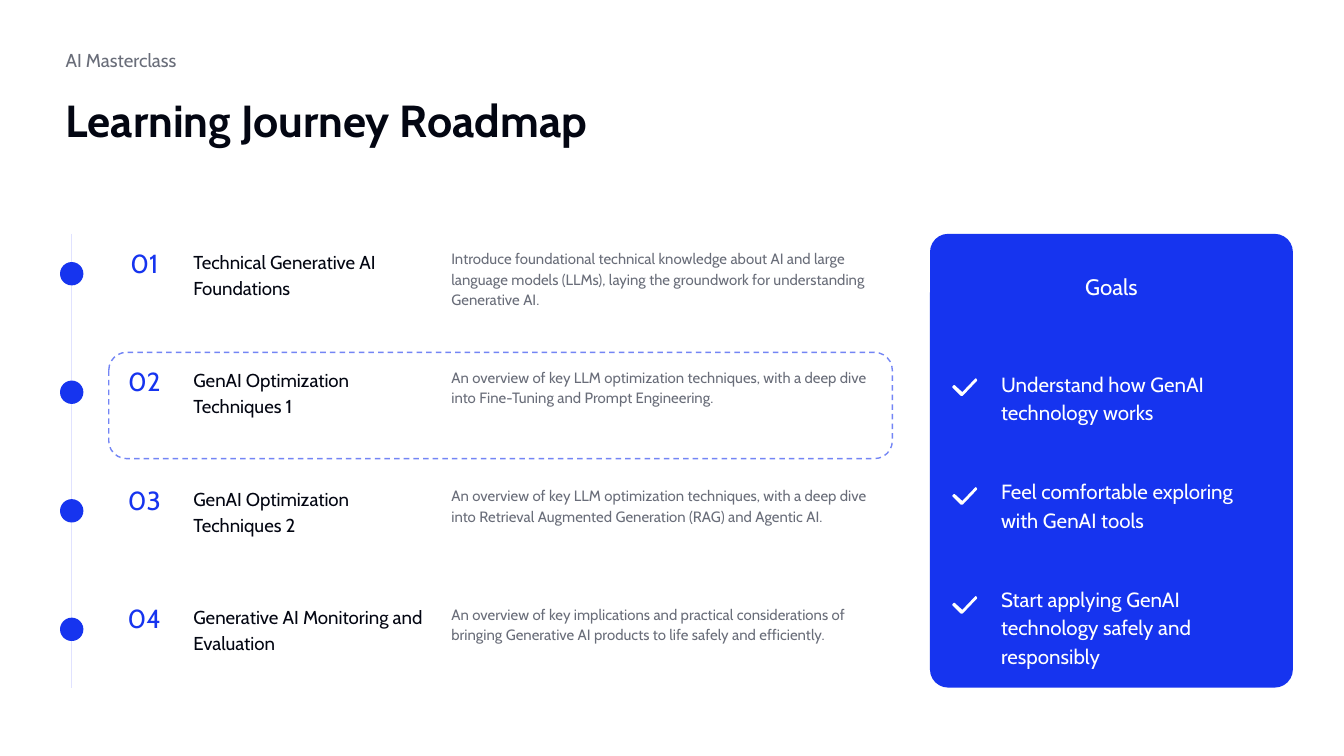
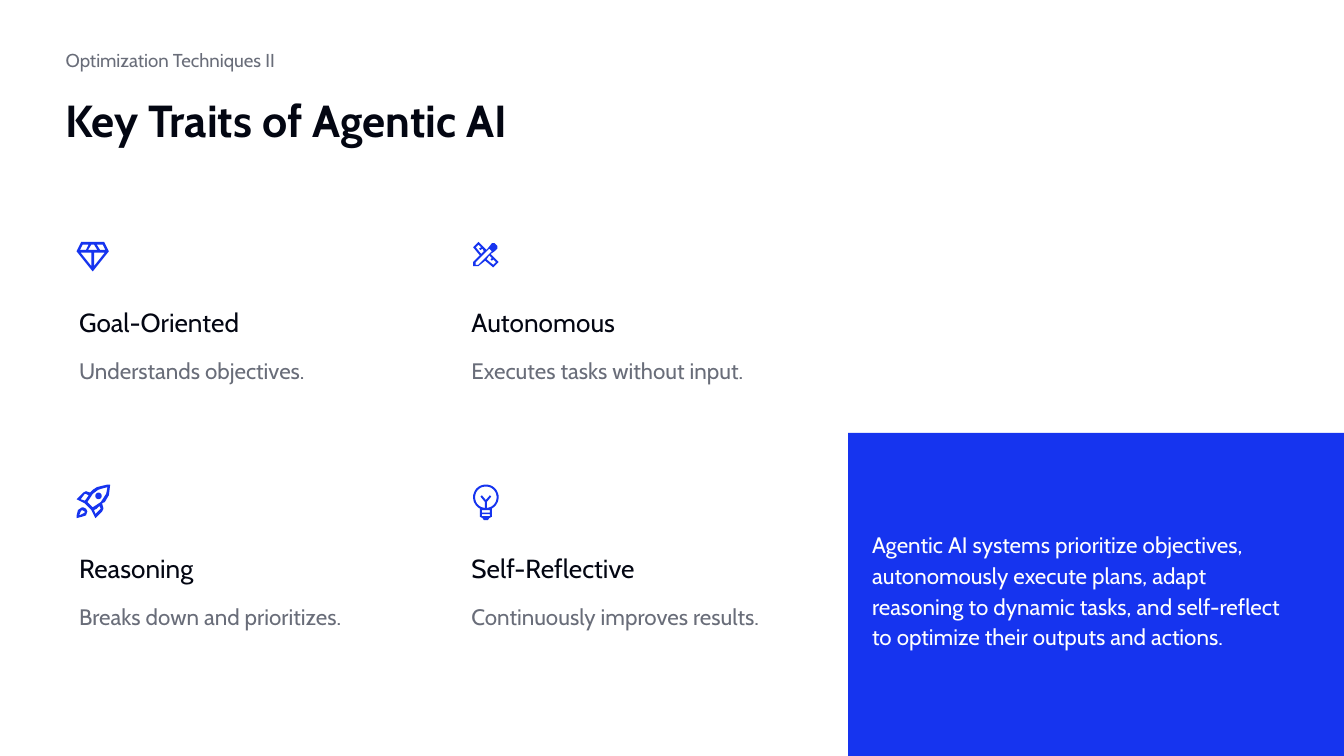
"""Build two training slides: a learning roadmap and the traits of agentic AI."""
from dataclasses import dataclass
from math import cos, radians, sin

from lxml.etree import SubElement
from pptx import Presentation
from pptx.dml.color import RGBColor
from pptx.enum.dml import MSO_LINE
from pptx.enum.shapes import MSO_CONNECTOR, MSO_SHAPE
from pptx.enum.text import MSO_ANCHOR, PP_ALIGN
from pptx.oxml.ns import qn
from pptx.util import Inches, Pt


@dataclass(frozen=True)
class Theme:
    font: str = "Cabin"
    ink: RGBColor = RGBColor(0x03, 0x06, 0x12)
    muted: RGBColor = RGBColor(0x69, 0x6D, 0x79)
    blue: RGBColor = RGBColor(0x16, 0x34, 0xEF)
    dashes: RGBColor = RGBColor(0x73, 0x85, 0xF5)
    rail: RGBColor = RGBColor(0xE0, 0xE2, 0xFF)
    white: RGBColor = RGBColor(0xFF, 0xFF, 0xFF)
    title: int = 24
    heading: int = 14
    body: int = 12
    goal: int = 11
    label: int = 10
    detail: int = 8
    hairline: float = 0.75


THEME = Theme()
COLUMNS, ROWS = 100, 56.25
CELL = Inches(0.1)
MARGIN, CONTENT_TOP = 3.9, 17.4


def write(slide, words, box, size, color, bold=False, spacing=1.15,
          align=PP_ALIGN.LEFT, anchor=MSO_ANCHOR.TOP, inset_top=1):
    frame = slide.shapes.add_textbox(*(int(n * CELL) for n in box)).text_frame
    frame.word_wrap = True
    frame.vertical_anchor = anchor
    frame.margin_left = frame.margin_right = frame.margin_bottom = CELL
    frame.margin_top = inset_top * CELL
    paragraph = frame.paragraphs[0]
    paragraph.text = words
    paragraph.alignment = align
    paragraph.line_spacing = spacing
    paragraph.font.name = THEME.font
    paragraph.font.size = Pt(size)
    paragraph.font.bold = bold
    paragraph.font.color.rgb = color


def paint(slide, outline, box, fill=None, line=None):
    place = [int(n * CELL) for n in box]
    if isinstance(outline, list):
        contours = [[(x * 10, y * 10) for x, y in contour] for contour in outline]
        builder = slide.shapes.build_freeform(*contours[0][0], scale=CELL / 100)
        for contour in contours:
            if contour is not contours[0]:
                builder.move_to(*contour[0])
            builder.add_line_segments(contour[1:], close=True)
        shape = builder.convert_to_shape(*place)
    else:
        shape = slide.shapes.add_shape(outline, *place)
    shape.shadow.inherit = False
    if fill is None:
        shape.fill.background()
    else:
        shape.fill.solid()
        shape.fill.fore_color.rgb = fill
    if line is None:
        shape.line.fill.background()
    else:
        shape.line.color.rgb = line
        shape.line.width = Pt(THEME.hairline)
    return shape


CHECK = [[(17.5, 1), (17, 0), (7, 10.5), (1, 5), (0, 6), (6, 12), (7, 12)]]
GEM = [
    [(3.5, 0), (0, 7), (12, 22), (24, 7), (20.5, 0)],
    [(9, 2), (7, 6), (2.5, 6), (4.5, 2)],
    [(11, 2), (13, 2), (15.5, 6), (8.5, 6)],
    [(19.5, 2), (21.5, 6), (17.5, 6), (15, 2)],
    [(11, 8), (11, 18), (3, 8)],
    [(21, 8), (13, 18), (13, 8)],
]
TOOLS = [
    [(4, 0), (0, 4), (5, 10), (0, 15), (0, 18), (4, 18), (9, 14), (15, 19),
     (19, 15), (13, 9), (16, 7), (18, 5), (18, 3), (16, 1), (14, 1), (10, 6)],
    [(4, 2), (6, 4), (4.5, 5), (5.5, 6), (7, 5), (8, 7), (6, 9), (2, 4)],
    [(12, 5), (14, 7), (4, 17), (2, 17), (2, 15)],
    [(12, 10), (14, 12), (13, 13), (14, 14), (15, 13), (17, 15), (15, 17), (10, 13)],
]
ROCKET = [
    [(23, 0), (19, 1), (15, 2), (12, 4), (10, 6), (7, 5), (5, 6), (0, 11), (6, 14),
     (11, 19), (14, 25), (19, 20), (20, 18), (19, 14), (21, 13), (24, 8), (25, 0)],
    [(23, 2), (22, 7), (18, 13), (15, 15), (12, 17), (8, 13), (10, 10), (12, 7),
     (16, 4), (19, 3)],
    [(16.3 + 2.4 * cos(radians(a)), 8.5 + 2.4 * sin(radians(a)))
     for a in range(0, 360, 20)],
    [(7, 7), (9, 8), (7, 11), (6, 12), (3, 11), (6, 7)],
    [(17, 16), (18, 18), (17, 19), (14, 22), (13, 19), (15, 18)],
    [(4, 17), (1, 19), (0, 23), (0, 25), (4, 24), (7, 23), (8, 20), (7, 18), (5, 17)],
    [(4, 19), (6, 20), (6, 21), (4, 22), (2, 23), (3, 20)],
]
BULB = [
    [(9.5 + 9.5 * cos(radians(a)), 9.5 + 9.5 * sin(radians(a)))
     for a in range(118, 423, 8)]
    + [(14, 24), (12, 25), (11, 26.5), (8, 26.5), (7, 25), (5, 24)],
    [(9.5 + 8 * cos(radians(a)), 9.5 + 8 * sin(radians(a)))
     for a in range(95, 446, 10)]
    + [(10.2, 13), (13.5, 9), (12.5, 8), (9.5, 11.5), (6.5, 8), (5.5, 9), (8.8, 13)],
    [(6.5, 19), (12.5, 19), (12.5, 21), (6.5, 21)],
    [(6.5, 22), (12.5, 22), (12.5, 23.5), (6.5, 23.5)],
]

deck = Presentation()
deck.slide_width, deck.slide_height = COLUMNS * CELL, int(ROWS * CELL)
headings = [
    ("AI Masterclass", "Learning Journey Roadmap"),
    ("Optimization Techniques II", "Key Traits of Agentic AI"),
]
for section, title in headings:
    slide = deck.slides.add_slide(deck.slide_layouts[6])
    write(slide, section, (MARGIN, 3.1, 23.6, 2.8), THEME.label, THEME.muted,
          spacing=1, anchor=MSO_ANCHOR.MIDDLE)
    write(slide, title, (MARGIN, 5.9, 92.3, 9), THEME.title, THEME.ink,
          bold=True, spacing=1)
roadmap, traits_slide = deck.slides

MODULES = [
    ("Technical Generative AI Foundations",
     "Introduce foundational technical knowledge about AI and large language models "
     "(LLMs), laying the groundwork for understanding Generative AI."),
    ("GenAI Optimization Techniques 1",
     "An overview of key LLM optimization techniques, with a deep dive into "
     "Fine-Tuning and Prompt Engineering."),
    ("GenAI Optimization Techniques 2",
     "An overview of key LLM optimization techniques, with a deep dive into "
     "Retrieval Augmented Generation (RAG) and Agentic AI."),
    ("Generative AI Monitoring and Evaluation",
     "An overview of key implications and practical considerations of bringing "
     "Generative AI products to life safely and efficiently."),
]
MODULE_STEP, MODULE_HEIGHT = 8.82, 7.3
RAIL, DOT = 5.34, 1.74
NUMBER_LEFT, NUMBER_WIDTH = 8.1, 5.3
rail_end = CONTENT_TOP + 3 * MODULE_STEP + MODULE_HEIGHT

rail = roadmap.shapes.add_connector(
    MSO_CONNECTOR.STRAIGHT,
    *(int(n * CELL) for n in (RAIL, CONTENT_TOP, RAIL, rail_end)))
rail.line.color.rgb = THEME.rail
rail.line.width = Pt(THEME.hairline)
SubElement(rail._element.spPr, qn("a:effectLst"))

for step, (module, summary) in enumerate(MODULES):
    top = CONTENT_TOP + step * MODULE_STEP
    paint(roadmap, MSO_SHAPE.OVAL, (RAIL - DOT / 2, top + 2.1, DOT, DOT), THEME.blue)
    write(roadmap, f"{step + 1:02}", (NUMBER_LEFT, top, NUMBER_WIDTH, MODULE_HEIGHT),
          THEME.heading, THEME.blue, spacing=1, align=PP_ALIGN.CENTER)
    write(roadmap, module, (NUMBER_LEFT + NUMBER_WIDTH, top, 19.2, MODULE_HEIGHT),
          THEME.label, THEME.ink)
    write(roadmap, summary, (32.6, top, 33.8, MODULE_HEIGHT), THEME.detail, THEME.muted)

current_module = paint(roadmap, MSO_SHAPE.ROUNDED_RECTANGLE,
                       (NUMBER_LEFT, CONTENT_TOP + MODULE_STEP, 58.3, 7.9),
                       line=THEME.dashes)
current_module.line.dash_style = MSO_LINE.DASH

GOALS = [
    "Understand how GenAI technology works",
    "Feel comfortable exploring with GenAI tools",
    "Start applying GenAI technology safely and responsibly",
]
GOALS_LEFT, GOALS_WIDTH = 69.2, 27
goals_panel = paint(roadmap, MSO_SHAPE.ROUNDED_RECTANGLE,
                    (GOALS_LEFT, CONTENT_TOP, GOALS_WIDTH, rail_end - CONTENT_TOP),
                    THEME.blue)
goals_panel.adjustments[0] = 0.05
write(roadmap, "Goals", (GOALS_LEFT, 19, GOALS_WIDTH, 5.7), THEME.body, THEME.white,
      align=PP_ALIGN.CENTER)
for order, goal in enumerate(GOALS):
    paint(roadmap, CHECK, (70.9, 28.2 + 8.1 * order), THEME.white, THEME.white)
    write(roadmap, goal, (73.5, 26.4 + 8 * order, 21.7, 7.3), THEME.goal, THEME.white)

TRAITS = [
    ("Goal-Oriented", "Understands objectives.", GEM, 5.7),
    ("Autonomous", "Executes tasks without input.", TOOLS, 6),
    ("Reasoning", "Breaks down and prioritizes.", ROCKET, 5.7),
    ("Self-Reflective", "Continuously improves results.", BULB, 6),
]
TRAIT_LEFT, TRAIT_WIDTH, TRAIT_STEP = 4.9, 26.3, (29.2, 18.3)
for order, (trait, meaning, icon, icon_left) in enumerate(TRAITS):
    row, column = divmod(order, 2)
    left, down = column * TRAIT_STEP[0], row * TRAIT_STEP[1]
    paint(traits_slide, icon, (icon_left + left, 18 + down - 0.25 * row), THEME.blue)
    write(traits_slide, trait, (TRAIT_LEFT + left, 21.3 + down, TRAIT_WIDTH, 5),
          THEME.heading, THEME.ink, anchor=MSO_ANCHOR.MIDDLE)
    write(traits_slide, meaning, (TRAIT_LEFT + left, 26.3 + down, TRAIT_WIDTH, 6.8),
          THEME.body, THEME.muted, inset_top=0)

PANEL_LEFT, PANEL_TOP = 63.1, 32.2
paint(traits_slide, MSO_SHAPE.RECTANGLE,
      (PANEL_LEFT, PANEL_TOP, COLUMNS - PANEL_LEFT, ROWS - PANEL_TOP), THEME.blue)
write(traits_slide,
      "Agentic AI systems prioritize objectives, autonomously execute plans, adapt "
      "reasoning to dynamic tasks, and self-reflect to optimize their outputs and actions.",
      (63.9, 25.3, 33.9, 24.1), THEME.body, THEME.white, anchor=MSO_ANCHOR.BOTTOM)

deck.save("out.pptx")
